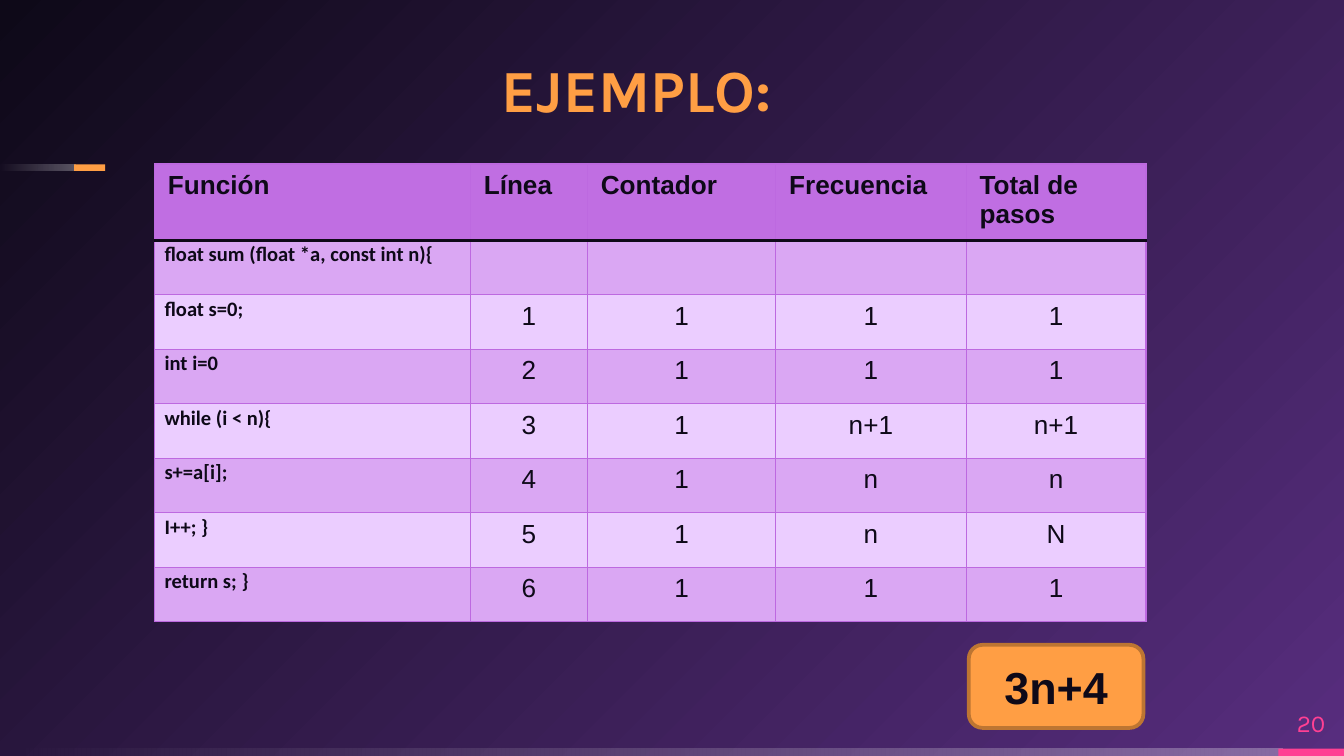
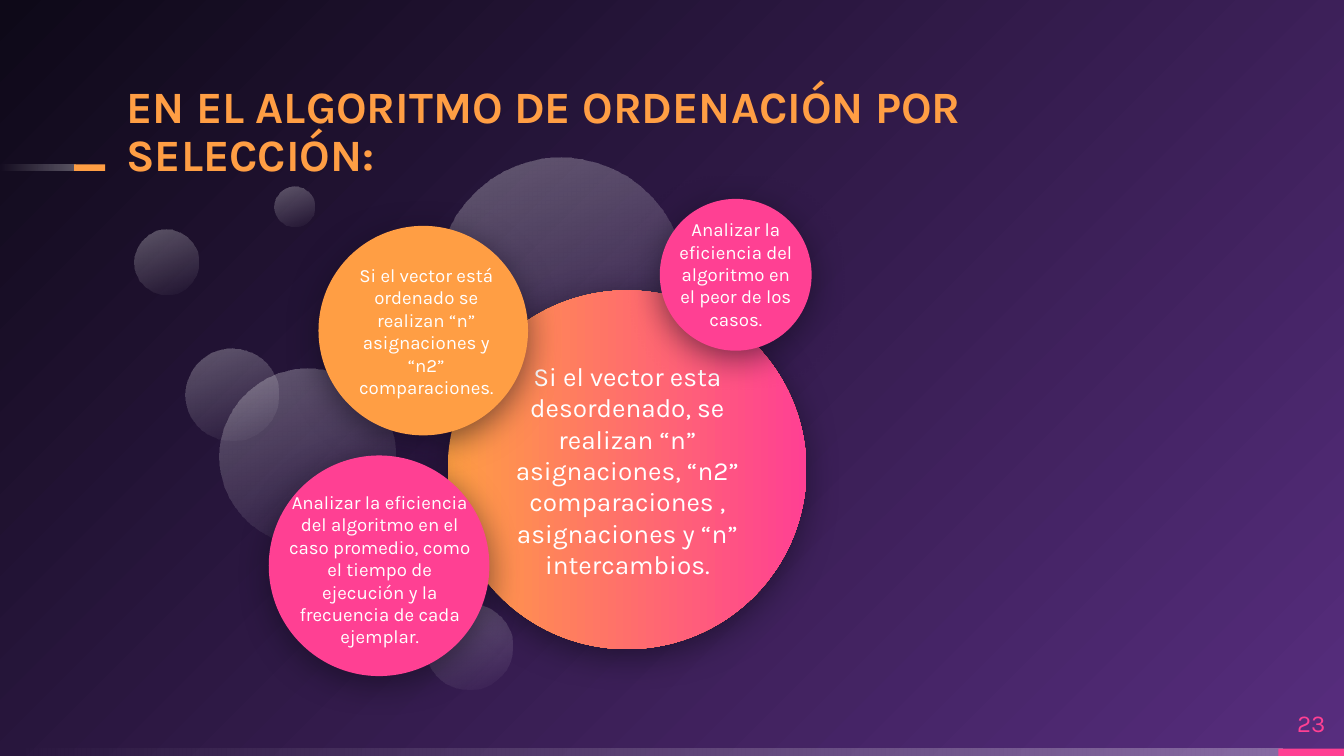
"""Build two slides on algorithm cost: a step-count table and a bubble diagram."""
from dataclasses import dataclass

from pptx import Presentation
from pptx import util as u
from pptx.dml.color import RGBColor
from pptx.enum import shapes, text
from pptx.oxml import ns, parse_xml

KIND = shapes.MSO_SHAPE
SIDE = text.PP_ALIGN
EDGE = text.MSO_ANCHOR


@dataclass(frozen=True)
class Theme:
    ink: str = "0E0918"
    night: str = "572D7E"
    white: str = "FFFFFF"
    pink: str = "FF4093"
    gold: str = "FF9E44"
    rust: str = "BD7532"
    head: str = "C06EE2"
    dark: str = "DAA7F3"
    light: str = "EBCDFF"
    rule: str = "BD69E0"
    face: str = "Karla"
    plain: str = "Arial"
    code: str = "Calibri"
    large: int = 32
    title: int = 24
    body: int = 14
    page: int = 13
    line: int = 11
    note: int = 10


def node(tag, inner="", **attrs):
    pairs = "".join(f' {key}="{val}"' for key, val in attrs.items())
    return parse_xml(f'<a:{tag} {ns.nsdecls("a")}{pairs}>{inner}</a:{tag}>')


def blend(stops, shade):
    marks = "".join(
        f'<a:gs pos="{pos}000"><a:srgbClr val="{hue}"><a:alpha val="{alpha}000"/>'
        f"</a:srgbClr></a:gs>" for pos, hue, alpha in stops)
    return node("gradFill", f"<a:gsLst>{marks}</a:gsLst>{shade}", rotWithShape=1)


def slant(angle):
    return f'<a:lin ang="{angle * 60000}" scaled="0"/>'


class Deck:
    """Hold the style and the current slide, and draw each kind of element."""

    def __init__(self, theme):
        self.theme = theme
        self.show = Presentation()
        self.show.slide_width, self.show.slide_height = u.Cm(25.4), u.Cm(14.29)
        self.slide = None
        self.haze = blend([(0, theme.white, 30), (100, theme.white, 0)], slant(180))

    def start(self, number):
        t = self.theme
        self.slide = self.show.slides.add_slide(self.show.slide_layouts[6])
        self.slide.background.fill.solid()
        glow = blend([(0, t.night, 100), (100, t.ink, 100)],
                     '<a:path path="circle"><a:fillToRect l="100000" t="100000"/></a:path>')
        self.swap(self.slide.element.find(".//" + ns.qn("p:bgPr")), glow)
        self.shape((0, 14.15, 24.23, 0.14), self.haze)
        self.shape((24.16, 14.15, 1.24, 0.14), t.pink)
        self.shape((0, 3.11, 1.42, 0.12), self.haze)
        self.shape((1.4, 3.11, 0.59, 0.12), t.gold)
        self.label((24.16, 13.18, 1.24, 0.97), number, t.page, t.pink)

    def swap(self, holder, fill):
        old = holder.find(ns.qn("a:solidFill"))
        holder.replace(old, parse_xml(self.dump(fill)))

    @staticmethod
    def dump(fill):
        from lxml import etree
        return etree.tostring(fill)

    def shape(self, box, fill, kind=KIND.RECTANGLE, turn=0):
        item = self.slide.shapes.add_shape(kind, *map(u.Cm, box))
        item.shadow.inherit = False
        item.line.fill.background()
        item.fill.solid()
        if isinstance(fill, str):
            item.fill.fore_color.rgb = RGBColor.from_string(fill)
        else:
            self.swap(item.element.spPr, fill)
        item.rotation = turn
        return item

    def style(self, para, size, hue, face, bold=False, align=SIDE.LEFT):
        para.alignment = align
        font = para.font
        font.size, font.name, font.bold = u.Pt(size), face, bold
        font.color.rgb = RGBColor.from_string(hue)

    def label(self, box, words, size, hue, pad=0, bold=False,
              align=SIDE.CENTER, anchor=EDGE.MIDDLE):
        frame = self.slide.shapes.add_textbox(*map(u.Cm, box)).text_frame
        frame.word_wrap, frame.vertical_anchor = True, anchor
        frame.margin_left = frame.margin_right = u.Cm(pad)
        frame.margin_top = frame.margin_bottom = u.Cm(pad)
        para = frame.paragraphs[0]
        para.text = words
        self.style(para, size, hue, self.theme.face, bold, align)
        return para

    def title(self, box, words, size, align):
        para = self.label(box, words, size, self.theme.gold, 0, True, align, EDGE.BOTTOM)
        para.line_spacing = 0.9

    def badge(self, box, words):
        t = self.theme
        item = self.shape(box, t.gold, KIND.ROUNDED_RECTANGLE)
        item.line.color.rgb = RGBColor.from_string(t.rust)
        item.line.width = u.Pt(2)
        item.text_frame.vertical_anchor = EDGE.MIDDLE
        para = item.text_frame.paragraphs[0]
        para.text = words
        self.style(para, t.title, t.ink, t.plain, True, SIDE.CENTER)

    def bubble(self, left, top, size):
        self.shape((left, top, size, size), self.haze, KIND.OVAL, 250)

    def disc(self, left, top, size, fill, area, words, points):
        item = self.shape((left, top, size, size), fill, KIND.OVAL)
        cast = node("outerShdw",
                    f'<a:srgbClr val="{self.theme.ink}"><a:alpha val="55000"/></a:srgbClr>',
                    blurRad=u.Pt(18), dist=u.Pt(4), dir=90 * 60000, rotWithShape=0)
        item.element.spPr.find(ns.qn("a:effectLst")).append(cast)
        self.label(area, words, points, self.theme.white, 0.25)

    def border(self, cell, row):
        t = self.theme
        props = cell.get_or_add_tcPr()
        for spot, side in enumerate("LRTB"):
            thick = (row, side) in ((0, "B"), (1, "T"))
            hue, width = (t.ink, 2) if thick else (t.rule, 0.75)
            props.insert(spot, node(
                "ln" + side,
                f'<a:solidFill><a:srgbClr val="{hue}"/></a:solidFill>', w=u.Pt(width)))

    def table(self, left, top, widths, height, rows):
        t = self.theme
        frame = self.slide.shapes.add_table(
            len(rows), len(widths), u.Cm(left), u.Cm(top),
            u.Cm(sum(widths)), u.Cm(height * len(rows)))
        grid = frame.table
        for col, width in zip(grid.columns, widths):
            col.width = u.Cm(width)
        for r, row in enumerate(rows):
            grid.rows[r].height = u.Cm(height)
            for c, words in enumerate(row):
                cell = grid.cell(r, c)
                cell.fill.solid()
                hue = t.head if r == 0 else t.dark if r % 2 else t.light
                cell.fill.fore_color.rgb = RGBColor.from_string(hue)
                para = cell.text_frame.paragraphs[0]
                para.text = words
                if r == 0:
                    self.style(para, t.body, t.ink, t.plain, True)
                elif c == 0:
                    cell.margin_left = cell.margin_right = u.Cm(0.19)
                    cell.margin_top = cell.margin_bottom = 0
                    para.line_spacing, para.space_after = 1.07, u.Pt(8)
                    self.style(para, t.line, t.ink, t.code, True)
                else:
                    self.style(para, t.body, t.ink, t.plain, False, SIDE.CENTER)
        for spot, cell in enumerate(frame.element.iter(ns.qn("a:tc"))):
            self.border(cell, spot // len(widths))


def steps(deck):
    t = deck.theme
    deck.start("20")
    deck.title((4.67, 0.81, 14.73, 1.57), "EJEMPLO:", t.large, SIDE.CENTER)
    deck.table(2.92, 3.1, (5.97, 2.21, 3.56, 3.6, 3.4), 1.03, [
        ("Función", "Línea", "Contador", "Frecuencia", "Total de pasos"),
        ("float sum (float *a, const int n){", "", "", "", ""),
        ("float s=0;", "1", "1", "1", "1"),
        ("int i=0", "2", "1", "1", "1"),
        ("while (i < n){", "3", "1", "n+1", "n+1"),
        ("s+=a[i];", "4", "1", "n", "n"),
        ("I++; }", "5", "1", "n", "N"),
        ("return s; }", "6", "1", "1", "1"),
    ])
    deck.badge((18.31, 12.19, 3.3, 1.57), "3n+4")


def cases(deck):
    t = deck.theme
    deck.start("23")
    for left, top, size in (
            (8.05, 11.4, 1.63), (2.54, 4.34, 1.22), (4.14, 6.96, 3.33),
            (8.26, 2.97, 4.67), (3.51, 6.58, 1.75), (5.18, 3.53, 0.76)):
        deck.bubble(left, top, size)
    blaze = blend([(0, t.gold, 100), (100, t.pink, 100)], slant(0))
    deck.disc(8.46, 5.49, 6.78, blaze, (9.27, 6.6, 5.18, 4.57),
              "Si el vector esta desordenado, se realizan “n” asignaciones, “n2” "
              "comparaciones , asignaciones y “n” intercambios.", t.body)
    deck.disc(6.02, 4.27, 3.96, t.gold, (6.53, 4.95, 3.05, 2.62),
              "Si el vector está ordenado se realizan “n” asignaciones y “n2” "
              "comparaciones.", t.note)
    deck.disc(5.08, 8.61, 4.17, t.pink, (5.18, 9.3, 3.99, 2.92),
              "Analizar la eficiencia del algoritmo en el caso promedio, como el "
              "tiempo de ejecución y la frecuencia de cada ejemplar.", t.note)
    deck.disc(12.47, 3.76, 2.87, t.pink, (12.47, 3.96, 2.87, 2.44),
              "Analizar la eficiencia del algoritmo en el peor de los casos.", t.note)
    deck.title((2.39, 1.35, 18.03, 2.08),
               "EN EL ALGORITMO DE ORDENACIÓN POR SELECCIÓN:", t.title, SIDE.LEFT)


def main():
    deck = Deck(Theme())
    steps(deck)
    cases(deck)
    deck.show.save("out.pptx")


if __name__ == "__main__":
    main()
